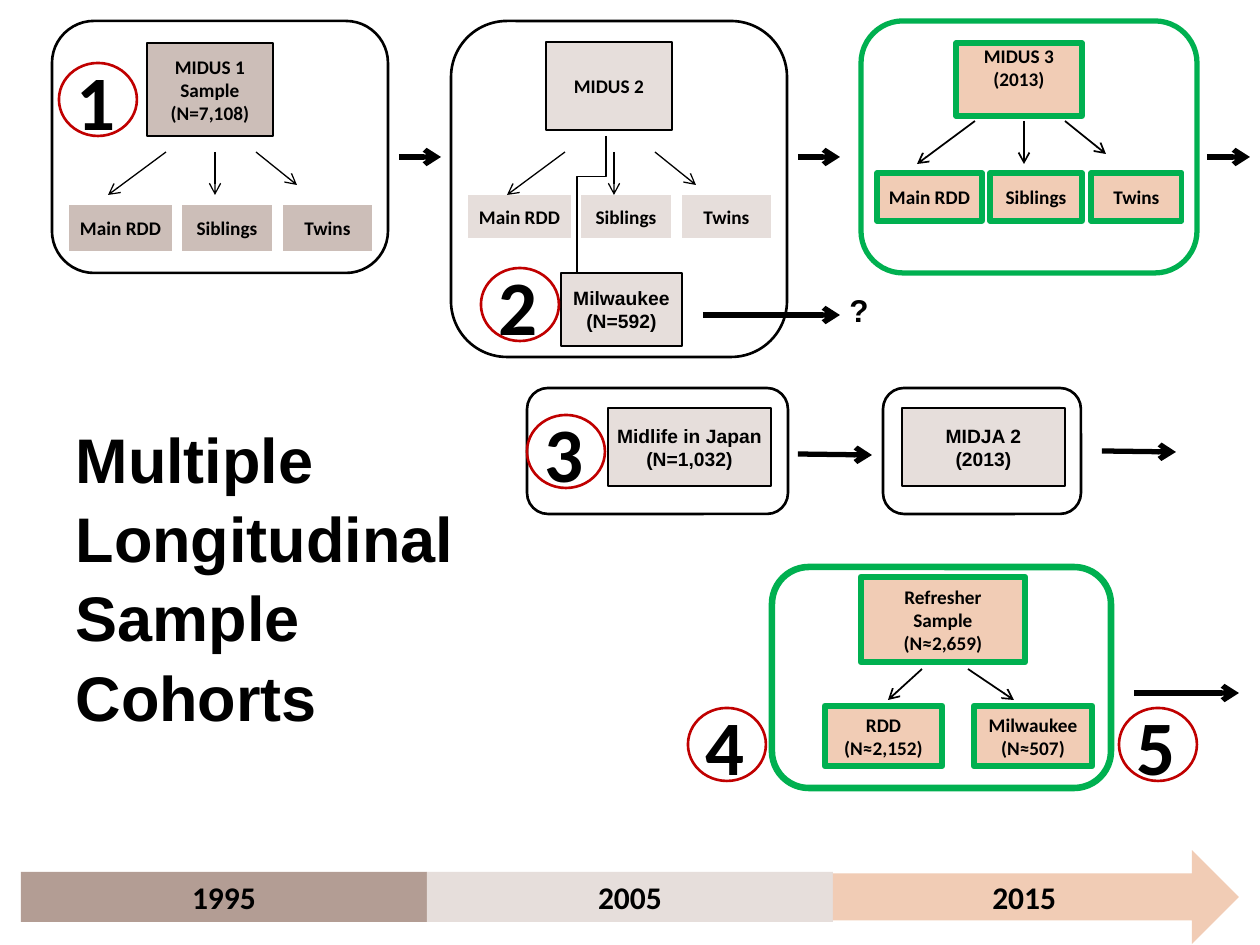
from lxml import etree
from pptx import Presentation
from pptx import util as u
from pptx.dml.color import RGBColor
from pptx.enum import shapes, text
from pptx.oxml.ns import qn

BLACK, WHITE, GREEN, RED = "000000", "FFFFFF", "00B050", "C00000"
MAUVE, PALE, PEACH, BROWN = "CCBEB8", "E6DEDB", "F1CCB5", "B39D94"

TITLE = "Multiple\nLongitudinal\nSample\nCohorts"
KIDS = [("Main RDD", 16, 105), ("Siblings", 129, 92), ("Twins", 230, 91)]
FORKS = [(114, 56, 43), (163, 163, 43), (204, 245, 33)]  # from x, to x, drop

# Boxes and arrow starts are given as (top, height) and top.
WAVES = [
    dict(label="MIDUS 1\nSample\n(N=7,108)", left=52, tall=252, head=(43, 93),
         kids=(204, 48), fork=152, fill=MAUVE, frame=(BLACK, 1.5),
         edge=(BLACK, 0.75), rim=(WHITE, 1.5), pen=0.75),
    dict(label="MIDUS 2", left=451, tall=336, head=(42, 88),
         kids=(194, 45), fork=152, fill=PALE, frame=(BLACK, 1.5),
         edge=(BLACK, 0.75), rim=(WHITE, 1.5), pen=0.75),
    dict(label="MIDUS 3\n(2013)", left=861, tall=252, head=(43, 73),
         kids=(173, 48), fork=121, fill=PEACH, frame=(GREEN, 3),
         edge=(GREEN, 3), rim=(GREEN, 3), pen=1, anchor="top"),
]
FRAMES = [
    ((527, 388, 261, 126), BLACK, 1.5),
    ((883, 388, 198, 126), BLACK, 1.5),
    ((772, 567, 339, 221), GREEN, 3.75),
]
SITES = [
    ("Milwaukee\n(N=592)", (561, 273, 121, 73)),
    ("Midlife in Japan\n(N=1,032)", (608, 408, 163, 78)),
    ("MIDJA 2\n(2013)", (902, 408, 163, 78)),
]
REFRESH = [
    ("Refresher\nSample\n(N≈2,659)", (861, 577, 164, 85)),
    ("RDD\n(N≈2,152)", (825, 706, 117, 60)),
    ("Milwaukee\n(N≈507)", (974, 706, 118, 60)),
]
THIN = [(968, 669, 1014, 700), (922, 669, 888, 700)]
THICK = [
    (399, 157, 441, 157), (798, 157, 840, 157), (1207, 157, 1250, 157),
    (703, 315, 840, 315), (798, 454, 872, 455), (1102, 451, 1176, 452),
    (1134, 693, 1239, 693),
]
ELBOW = (523, 190, 137, 29)
BADGES = [(59, 63), (481, 268), (527, 415), (688, 708), (1119, 708)]
YEARS = [("1995", BROWN), ("2005", PALE), ("2015", PEACH)]
SPAN = 406


def px(*vals):
    return [round(v * 914400 / 126) for v in vals]


def color(code):
    return RGBColor.from_string(code)


def write(frame, words, size=11, font="Calibri", align="CENTER",
          anchor="MIDDLE", inset=None, wrap=True, space=None):
    frame.auto_size = text.MSO_AUTO_SIZE.NONE
    frame.word_wrap = wrap
    frame.vertical_anchor = getattr(text.MSO_ANCHOR, anchor)
    if inset is not None:
        for side in ("left", "right", "top", "bottom"):
            setattr(frame, "margin_" + side, px(inset)[0])
    frame.text = words
    for para in frame.paragraphs:
        para.alignment = getattr(text.PP_ALIGN, align)
        if space:
            para.line_spacing = space
        face = para.font
        face.name, face.size, face.bold = font, u.Pt(size), True
        face.color.rgb = color(BLACK)


def shape(kind, box, fill=None, line=None):
    item = slide.shapes.add_shape(getattr(shapes.MSO_SHAPE, kind), *px(*box))
    item.shadow.inherit = False
    if fill:
        item.fill.solid()
        item.fill.fore_color.rgb = color(fill)
    else:
        item.fill.background()
    if line:
        item.line.color.rgb = color(line[0])
        item.line.width = u.Pt(line[1])
    else:
        item.line.fill.background()
    return item


def block(words, box, fill, line, **style):
    write(shape("RECTANGLE", box, fill, line).text_frame, words, **style)


def label(words, box, **style):
    area = slide.shapes.add_textbox(*px(*box))
    write(area.text_frame, words, align="LEFT", anchor="TOP", wrap=False, **style)


def link(ends, width, kind="STRAIGHT", head=True):
    item = slide.shapes.add_connector(
        getattr(shapes.MSO_CONNECTOR, kind), *px(*ends))
    item.line.color.rgb = color(BLACK)
    item.line.width = u.Pt(width)
    if head:
        etree.SubElement(item.line._get_or_add_ln(), qn("a:tailEnd"), type="arrow")
    etree.SubElement(item._element.spPr, qn("a:effectLst"))
    return item


def wave(label, left, tall, head, kids, fork, fill, frame, edge, rim, pen,
         anchor="middle"):
    shape("ROUNDED_RECTANGLE", (left, 21, 336, tall), line=frame)
    block(label, (left + 95, head[0], 126, head[1]), fill, edge,
          inset=1, anchor=anchor.upper())
    for name, shift, wide in KIDS:
        block(name, (left + shift, kids[0], wide, kids[1]), fill, rim, inset=1)
    for start, end, drop in FORKS:
        link((left + start, fork, left + end, fork + drop), pen)


def elbow():
    """Draw a stepped line turned a quarter, with its bend near the top."""
    x, y, wide, high = ELBOW
    item = link((x, y, x + wide, y + high), 0.75, kind="ELBOW", head=False)
    body = item._element.spPr
    body.find(qn("a:xfrm")).set("rot", "5400000")
    geom = body.find(qn("a:prstGeom"))
    guides = geom.find(qn("a:avLst"))
    if guides is None:
        guides = etree.SubElement(geom, qn("a:avLst"))
    etree.SubElement(guides, qn("a:gd"), name="adj1", fmla="val 29600")


deck = Presentation()
deck.slide_width, deck.slide_height = px(1260, 945)
slide = deck.slides.add_slide(deck.slide_layouts[5])

title = slide.shapes.title
title.left, title.top, title.width, title.height = px(63, 410, 423, 318)
write(title.text_frame, TITLE, size=36, font="Arial", align="LEFT",
      anchor="TOP", space=1.05)

for item in WAVES:
    wave(**item)
for box, tint, width in FRAMES:
    shape("ROUNDED_RECTANGLE", box, line=(tint, width))
elbow()
for words, box in SITES:
    block(words, box, PALE, (BLACK, 0.75), font="Arial", inset=0, wrap=False)
for words, box in REFRESH:
    block(words, box, PEACH, (GREEN, 3.75), inset=1)
for ends in THIN:
    link(ends, 1)
for ends in THICK:
    link(ends, 3)
label("?", (837, 285, 45, 50), size=18, font="Arial")

for num, (x, y) in enumerate(BADGES, 1):
    label(str(num), (x + 5, y - 16, 67, 106), size=44)
    shape("OVAL", (x, y, 78, 73), line=(RED, 1.5))

for num, (year, fill) in enumerate(YEARS):
    last = num == len(YEARS) - 1
    kind, top, high = ("RIGHT_ARROW", 850, 94) if last else ("RECTANGLE", 872, 50)
    bar = shape(kind, (21 + num * SPAN, top, SPAN, high), fill)
    write(bar.text_frame, year, size=18)

deck.save("out.pptx")
